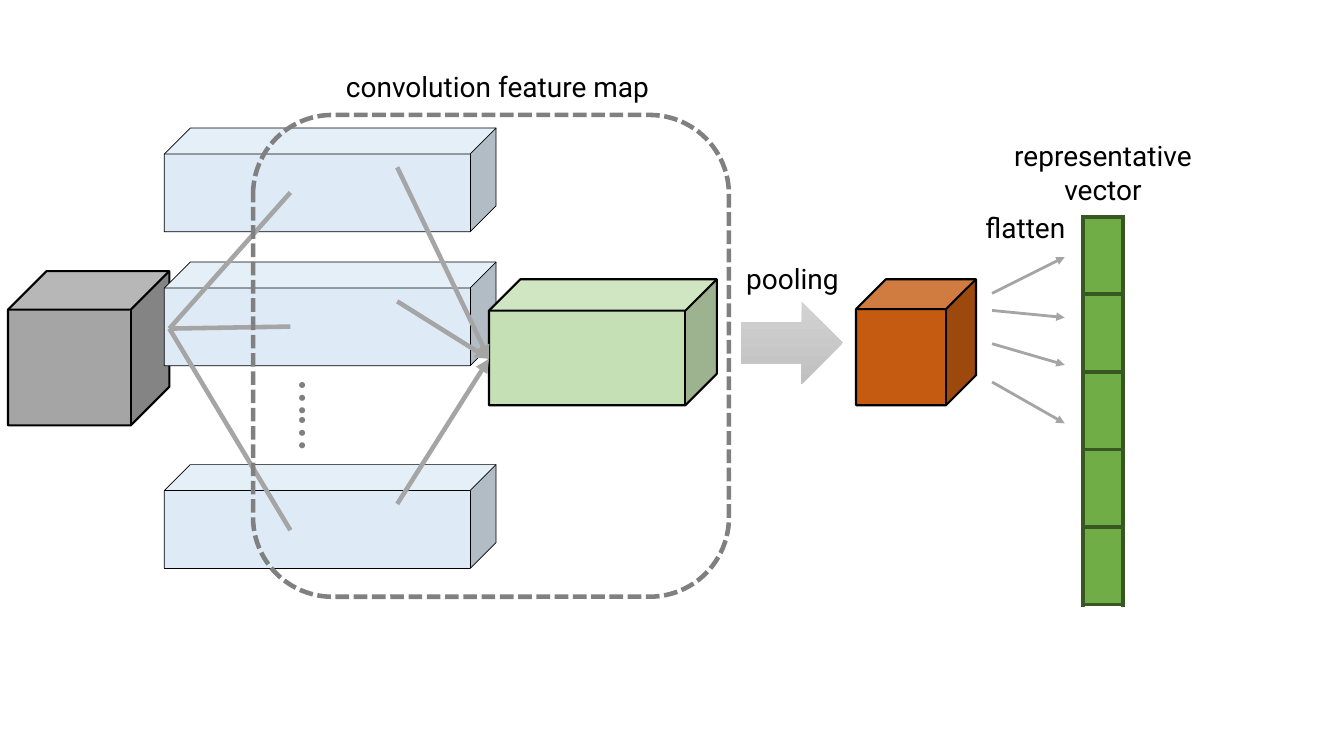
from lxml import etree
from pptx import Presentation
from pptx.dml.color import RGBColor
from pptx.enum.dml import MSO_LINE
from pptx.enum.shapes import MSO_CONNECTOR, MSO_SHAPE
from pptx.enum.text import PP_ALIGN
from pptx.oxml.ns import qn
from pptx.util import Inches, Pt

CUBE = MSO_SHAPE.CUBE
ROUND = MSO_SHAPE.ROUNDED_RECTANGLE
ARROW = MSO_SHAPE.RIGHT_ARROW
LINE = MSO_CONNECTOR.STRAIGHT
DASH = MSO_LINE.SQUARE_DOT
CENTER = PP_ALIGN.CENTER

COLORS = {
    "black": "000000", "gray": "A5A5A5", "dim": "808080", "pale": "DEEBF7",
    "mint": "C5E0B4", "rust": "C55A11", "green": "70AD47", "dark": "385723",
    "light": "D2D2D2", "mid": "C0C0C0",
}


def rgb(name):
    return RGBColor.from_string(COLORS[name])


def add_box(slide, kind, box, fill=None, line=None, width=1.5):
    shape = slide.shapes.add_shape(kind, *map(Inches, box))
    shape.shadow.inherit = False
    if fill:
        shape.fill.solid()
        shape.fill.fore_color.rgb = rgb(fill)
    else:
        shape.fill.background()
    if line:
        shape.line.color.rgb = rgb(line)
        shape.line.width = Pt(width)
    else:
        shape.line.fill.background()
    return shape


def add_cube(slide, box, fill, width=1.5):
    return add_box(slide, CUBE, box, fill, "black", width)


def add_line(slide, start, end, width, head=False):
    link = slide.shapes.add_connector(LINE, *map(Inches, (*start, *end)))
    link.line.color.rgb = rgb("gray")
    link.line.width = Pt(width)
    if head:
        tip = etree.SubElement(link.line._get_or_add_ln(), qn("a:tailEnd"))
        tip.set("type", "triangle")
    etree.SubElement(link._element.spPr, qn("a:effectLst"))


def add_label(slide, box, text, size=20, font="Roboto", color="black"):
    label = slide.shapes.add_textbox(*map(Inches, box))
    frame = label.text_frame
    frame.word_wrap = True
    frame.text = text
    para = frame.paragraphs[0]
    para.alignment = CENTER
    style = para.runs[0].font
    style.size, style.name = Pt(size), font
    style.color.rgb = rgb(color)
    return label


def add_filters(slide, left, top):
    """Stack of filter cubes with dots before the last one."""
    drops = (0, 1.33, 3.34)
    for drop in drops:
        add_cube(slide, (left, top + drop, 3.29, 1.03), "pale", 0.5)
    dots = add_label(slide, (left + 0.62, top + 2.5, 1.16, 0.71), "……",
                     36, "Calibri", "dim")
    dots.rotation = 270

    # Input cube to each filter
    for drop, rise in zip(drops, (0.64, 0.64, 0.65)):
        add_line(slide, (left + 0.05, top + 1.99),
                 (left + 1.25, top + drop + rise), 3.25)

    # Each filter to the output cube
    add_cube(slide, (left + 3.22, top + 1.5, 2.26, 1.25), "mint")
    for drop in drops:
        add_line(slide, (left + 2.31, top + drop + 0.39),
                 (left + 3.22, top + 2.29), 3.25, head=True)


def add_map(slide, left, top):
    """Dashed frame of the feature map and its caption."""
    frame = add_box(slide, ROUND, (left, top, 4.72, 4.78), None, "dim", 3.25)
    frame.line.dash_style = DASH
    add_label(slide, (left + 0.75, top - 0.5, 3.35, 0.44),
              "convolution feature map")


def add_pool(slide, left, top):
    """Block arrow leading to the pooled cube."""
    arrow = add_box(slide, ARROW, (left, top, 1.01, 0.82))
    arrow.fill.gradient()
    arrow.fill.gradient_angle = 270
    for stop, name in zip(arrow.fill.gradient_stops, ("light", "mid")):
        stop.color.rgb = rgb(name)
    for stop, place in zip(arrow.fill.gradient_stops, (0, 1)):
        stop.position = place
    add_cube(slide, (left + 1.14, top - 0.22, 1.19, 1.25), "rust")
    add_label(slide, (left - 0.22, top - 0.44, 1.46, 0.44), "pooling")


def add_edges(cell, color, width):
    props = cell._tc.get_or_add_tcPr()
    for side in ("a:lnL", "a:lnR", "a:lnT", "a:lnB"):
        edge = etree.SubElement(props, qn(side), w=str(Pt(width)))
        fill = etree.SubElement(edge, qn("a:solidFill"))
        etree.SubElement(fill, qn("a:srgbClr"), val=COLORS[color])


def add_vector(slide, left, top):
    """Column of cells, with the flatten arrows pointing at it."""
    count, step = 5, 0.77
    grid = slide.shapes.add_table(
        count, 1, *map(Inches, (left, top, 0.4, count * step))).table
    grid.first_row = grid.horz_banding = False
    for row in grid.rows:
        row.height = Inches(step)
        cell = row.cells[0]
        add_edges(cell, "dark", 3)
        cell.fill.solid()
        cell.fill.fore_color.rgb = rgb("green")

    for start, end in ((0.76, 0.4), (0.93, 1), (1.26, 1.47), (1.64, 2.05)):
        add_line(slide, (left - 0.9, top + start), (left - 0.18, top + end),
                 2, head=True)
    add_label(slide, (left - 1.18, top - 0.11, 1.22, 0.44), "flatten")
    add_label(slide, (left - 1.07, top - 0.82, 2.54, 0.77),
              "representative vector")


def main():
    deck = Presentation()
    deck.slide_width, deck.slide_height = Inches(13.33), Inches(7.5)
    slide = deck.slides.add_slide(deck.slide_layouts[6])
    add_cube(slide, (0.08, 2.69, 1.6, 1.53), "gray")
    add_filters(slide, 1.63, 1.27)
    add_map(slide, 2.51, 1.14)
    add_pool(slide, 7.35, 2.99)
    add_vector(slide, 10.74, 2.15)
    deck.save("out.pptx")


if __name__ == "__main__":
    main()
